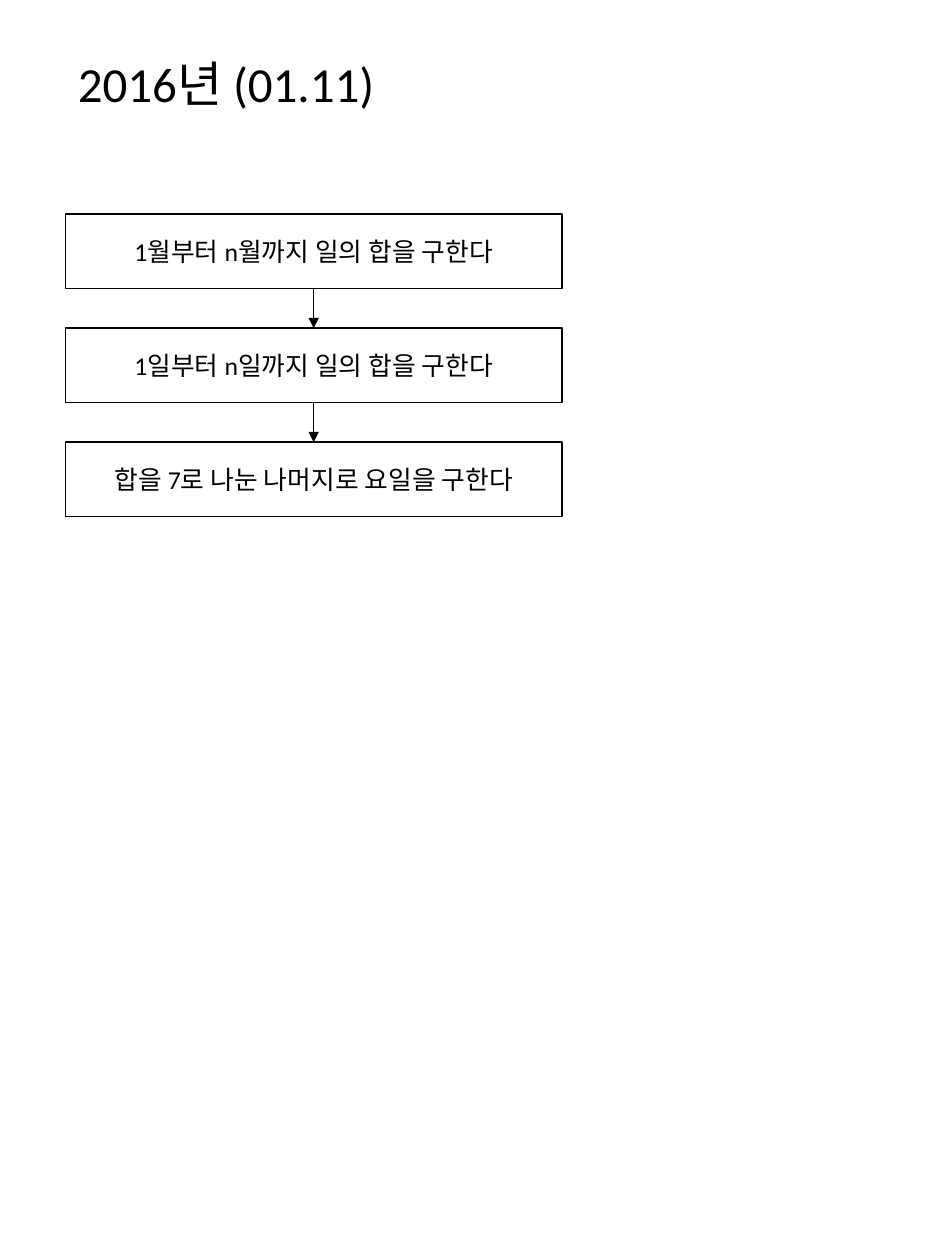
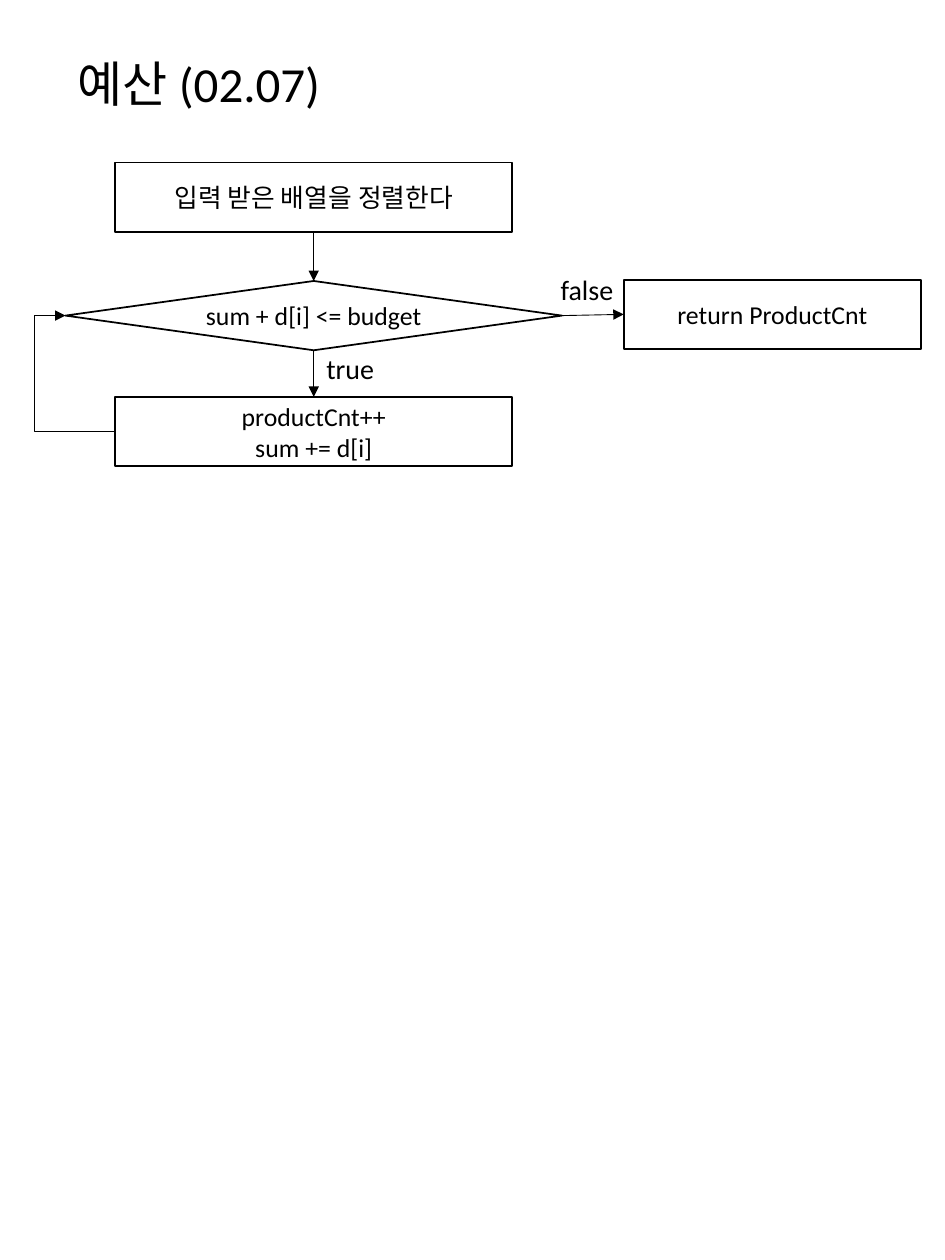
from lxml import etree
from pptx import Presentation
from pptx.dml.color import RGBColor
from pptx.enum.shapes import MSO_CONNECTOR, MSO_SHAPE
from pptx.enum.text import MSO_ANCHOR, MSO_AUTO_SIZE, PP_ALIGN
from pptx.oxml.ns import qn
from pptx.util import Inches, Pt

BLACK = RGBColor(0x00, 0x00, 0x00)
WHITE = RGBColor(0xFF, 0xFF, 0xFF)
FONT = "Calibri"
RECT, DIAMOND = MSO_SHAPE.RECTANGLE, MSO_SHAPE.DIAMOND
STRAIGHT, ELBOW = MSO_CONNECTOR.STRAIGHT, MSO_CONNECTOR.ELBOW
MIDDLE, CENTER, LEFT_ALIGN = MSO_ANCHOR.MIDDLE, PP_ALIGN.CENTER, PP_ALIGN.LEFT
FIT_SHAPE = MSO_AUTO_SIZE.SHAPE_TO_FIT_TEXT
TOP, LEFT, BOTTOM, RIGHT = range(4)  # connection sites

# Shared grid, in inches
MARGIN = 0.52
WIDE = 3.94
COLUMN_CENTER = MARGIN + WIDE / 2


class FlowDeck:
    """Holds the presentation, its style and the current slide."""

    def __init__(self):
        self.prs = Presentation()
        self.prs.slide_width, self.prs.slide_height = Inches(7.5), Inches(10)
        self.slide = None

    def new_slide(self, title):
        self.slide = self.prs.slides.add_slide(self.prs.slide_layouts[6])
        self.slide.background.fill.solid()
        self.slide.background.fill.fore_color.rgb = WHITE
        heading = self.slide.shapes.add_textbox(
            Inches(MARGIN), Inches(0.38), Inches(6.47), Inches(0.61))
        frame = heading.text_frame
        frame.word_wrap = True
        frame.vertical_anchor = MIDDLE
        self.add_lines(frame, [title], 28)
        frame.paragraphs[0].line_spacing = 0.9

    def add_lines(self, frame, lines, size, align=LEFT_ALIGN):
        for i, line in enumerate(lines):
            paragraph = frame.add_paragraph() if i else frame.paragraphs[0]
            paragraph.alignment = align
            run = paragraph.add_run()
            run.text = line
            run.font.name = FONT
            run.font.size = Pt(size)
            run.font.color.rgb = BLACK

    def step(self, lines, top, width, height, center=COLUMN_CENTER, kind=RECT):
        node = self.slide.shapes.add_shape(
            kind, Inches(center - width / 2), Inches(top), Inches(width), Inches(height))
        node.shadow.inherit = False
        node.fill.background()
        node.line.color.rgb = BLACK
        node.line.width = Pt(1)
        node.text_frame.word_wrap = True
        node.text_frame.vertical_anchor = MIDDLE
        self.add_lines(node.text_frame, lines, 14.7, CENTER)
        return node

    def label(self, text, left, top, width):
        box = self.slide.shapes.add_textbox(
            Inches(left), Inches(top), Inches(width), Inches(0.27))
        frame = box.text_frame
        frame.margin_left = frame.margin_right = 0
        frame.margin_top = frame.margin_bottom = 0
        frame.word_wrap = False
        frame.auto_size = FIT_SHAPE
        self.add_lines(frame, [text], 16)

    def arrow(self, start, end, sites=(BOTTOM, TOP), kind=STRAIGHT, bend=None):
        link = self.slide.shapes.add_connector(kind, 0, 0, 0, 0)
        link.begin_connect(start, sites[0])
        link.end_connect(end, sites[1])
        link.line.color.rgb = BLACK
        link.line.width = Pt(0.5)
        props = link._element.spPr
        etree.SubElement(props.find(qn("a:ln")), qn("a:tailEnd"), type="triangle")
        etree.SubElement(props, qn("a:effectLst"))
        if bend is not None:
            guides = props.find(qn("a:prstGeom")).get_or_add_avLst()
            etree.SubElement(guides, qn("a:gd"), name="adj1",
                             fmla=f"val {round(bend * 100000)}")


def day_of_week(deck):
    deck.new_slide("2016년 (01.11)")
    first_top, last_top = 1.7, 3.51
    texts = ["1월부터 n월까지 일의 합을 구한다",
             "1일부터 n일까지 일의 합을 구한다",
             "합을 7로 나눈 나머지로 요일을 구한다"]
    pitch = (last_top - first_top) / (len(texts) - 1)
    steps = [deck.step([text], first_top + i * pitch, WIDE, 0.59)
             for i, text in enumerate(texts)]
    for upper, lower in zip(steps, steps[1:]):
        deck.arrow(upper, lower)


def budget(deck):
    deck.new_slide("예산 (02.07)")
    height, narrow = 0.55, 3.15

    # Steps
    sort_input = deck.step(["입력 받은 배열을 정렬한다"], 1.29, narrow, height)
    check = deck.step(["sum + d[i] <= budget"], 2.23, WIDE, height, kind=DIAMOND)
    count_up = deck.step(["productCnt++", "sum += d[i]"], 3.15, narrow, height)
    result = deck.step(["return ProductCnt"], 2.22, 2.36, height, center=6.13)

    # Flow and loop back
    deck.arrow(sort_input, check)
    deck.arrow(check, count_up)
    deck.arrow(check, result, (RIGHT, LEFT))
    deck.arrow(count_up, check, (LEFT, LEFT), ELBOW, bend=1.63)

    # Branch labels
    deck.label("true", 2.59, 2.79, 0.38)
    deck.label("false", 4.45, 2.16, 0.42)


def main():
    deck = FlowDeck()
    day_of_week(deck)
    budget(deck)
    deck.prs.save("out.pptx")


if __name__ == "__main__":
    main()
